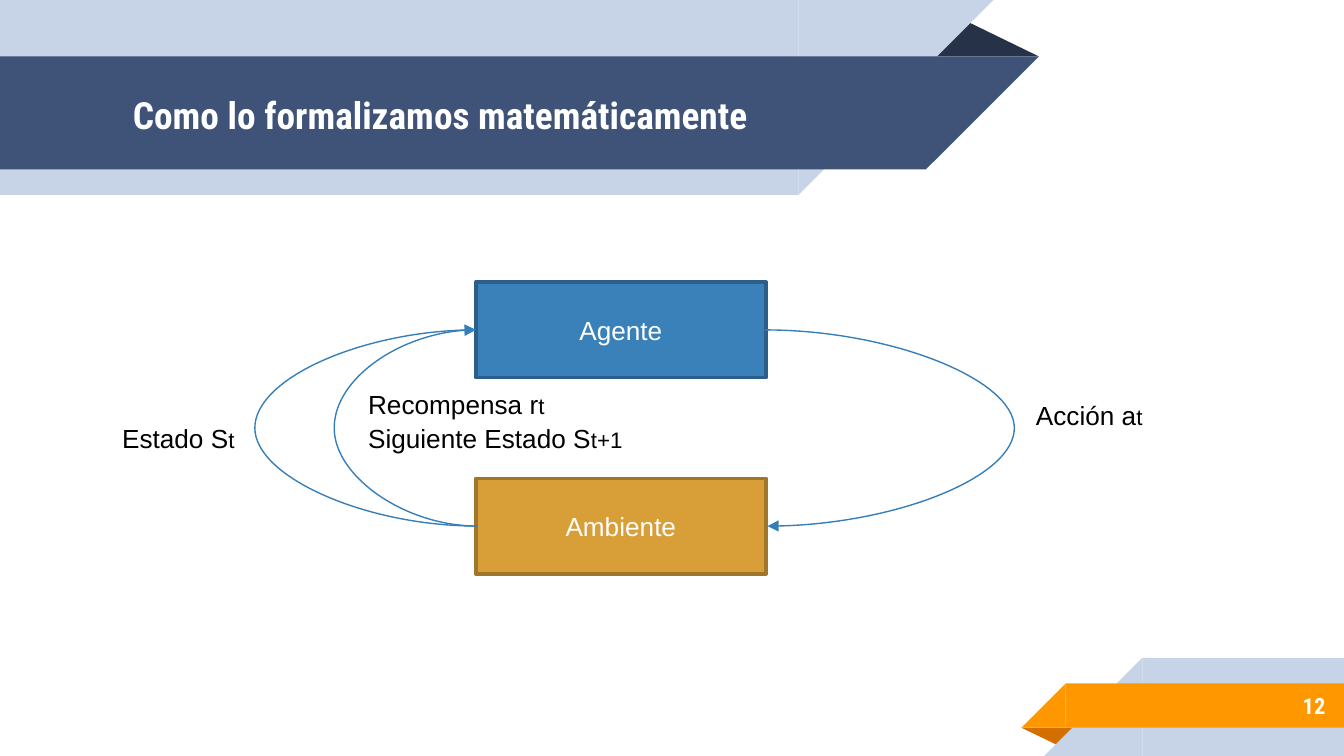
from dataclasses import dataclass

from lxml import etree
from pptx import Presentation
from pptx.dml.color import RGBColor
from pptx.enum.shapes import MSO_CONNECTOR, MSO_SHAPE
from pptx.enum.text import MSO_ANCHOR, MSO_AUTO_SIZE, PP_ALIGN
from pptx.oxml.ns import qn
from pptx.util import Inches, Pt

RECTANGLE = MSO_SHAPE.RECTANGLE
RIGHT_TRIANGLE = MSO_SHAPE.RIGHT_TRIANGLE
TRIANGLE = MSO_SHAPE.ISOSCELES_TRIANGLE
CURVE = MSO_CONNECTOR.CURVE
MIDDLE, TOP = MSO_ANCHOR.MIDDLE, MSO_ANCHOR.TOP
LEFT, CENTER, RIGHT = PP_ALIGN.LEFT, PP_ALIGN.CENTER, PP_ALIGN.RIGHT

SLIDE_WIDTH = 10
SLIDE_HEIGHT = SLIDE_WIDTH * 9 / 16


@dataclass(frozen=True)
class Theme:
    heading_font: str = "Roboto Condensed"
    body_font: str = "Arial"
    title_size: int = 20
    body_size: int = 14
    small_size: int = 12
    white: str = "FFFFFF"
    black: str = "000000"
    pale: str = "C7D3E6"
    navy: str = "3F5378"
    navy_fold: str = "263248"
    orange: str = "FF9800"
    orange_fold: str = "D26F00"
    agent: str = "3A81BA"
    agent_line: str = "2B5F8A"
    environment: str = "D89F39"
    environment_line: str = "A0762A"
    arrow: str = "367EB9"


THEME = Theme()


def add_shape(slide, preset, box, fill, line=None):
    shape = slide.shapes.add_shape(preset, *map(Inches, box))
    shape.shadow.inherit = False
    shape.fill.solid()
    shape.fill.fore_color.rgb = RGBColor.from_string(fill)
    if line:
        shape.line.color.rgb = RGBColor.from_string(line)
        shape.line.width = Pt(2)
    else:
        shape.line.fill.background()
    return shape


def flip_horizontally(shape):
    shape._element.spPr.find(qn("a:xfrm")).set("flipH", "1")


def add_run(paragraph, text, size, color, font, bold=False):
    run = paragraph.add_run()
    run.text = text
    run.font.size = Pt(size)
    run.font.name = font
    run.font.bold = bold
    run.font.color.rgb = RGBColor.from_string(color)


def add_heading(slide, box, text, size, align):
    frame = slide.shapes.add_textbox(*map(Inches, box)).text_frame
    frame.word_wrap = True
    frame.vertical_anchor = MIDDLE
    frame.margin_top = frame.margin_bottom = Inches(0.1)
    paragraph = frame.paragraphs[0]
    paragraph.alignment = align
    add_run(paragraph, text, size, THEME.white, THEME.heading_font, True)


def add_label(slide, box, text, subscript):
    frame = slide.shapes.add_textbox(*map(Inches, box)).text_frame
    frame.word_wrap = False
    frame.auto_size = MSO_AUTO_SIZE.SHAPE_TO_FIT_TEXT
    frame.vertical_anchor = TOP
    paragraph = frame.paragraphs[0]
    paragraph.alignment = LEFT
    add_run(paragraph, text, THEME.body_size, THEME.black, THEME.body_font)
    add_run(paragraph, subscript, THEME.small_size, THEME.black, THEME.body_font)


def add_node(slide, box, text, fill, line):
    frame = add_shape(slide, RECTANGLE, box, fill, line).text_frame
    frame.vertical_anchor = MIDDLE
    paragraph = frame.paragraphs[0]
    paragraph.alignment = CENTER
    add_run(paragraph, text, THEME.body_size, THEME.white, THEME.body_font)


def add_curved_arrow(slide, start, end, bulge_x):
    """Draw a curve from start to end that swings out to bulge_x."""
    connector = slide.shapes.add_connector(CURVE, *map(Inches, start + end))
    connector.line.color.rgb = RGBColor.from_string(THEME.arrow)
    connector.line.width = Pt(0.75)
    properties = connector._element.spPr
    reach = abs(Inches(bulge_x) - connector.begin_x) / connector.width
    guides = properties.find(qn("a:prstGeom")).find(qn("a:avLst"))
    etree.SubElement(guides, qn("a:gd"), name="adj1", fmla=f"val {round(reach * 100000)}")
    etree.SubElement(properties.find(qn("a:ln")), qn("a:tailEnd"), type="triangle")
    etree.SubElement(properties, qn("a:effectLst"))


def add_slanted_band(slide, box, fill, points_left=False):
    """Draw a bar whose slanted end is as wide as the bar is high."""
    left, top, width, height = box
    bar_left = left + height if points_left else left
    tip_left = left if points_left else left + width - height
    bar = add_shape(slide, RECTANGLE, (bar_left, top, width - height, height), fill)
    tip = add_shape(slide, RIGHT_TRIANGLE, (tip_left, top, height, height), fill)
    for shape in (bar, tip):
        flip_horizontally(shape)
        if not points_left:
            shape.rotation = 180


def add_fold(slide, box, fill):
    fold = add_shape(slide, TRIANGLE, box, fill)
    fold.adjustments[0] = 0.324
    return fold


def add_header(slide, box, title):
    left, top, width, height = box
    band_top, band_height = top + 0.42, 0.84
    add_fold(slide, (left + width - 0.85, band_top - 0.28, 0.85, 0.28), THEME.navy_fold)
    add_slanted_band(slide, (left, top, width - 0.34, height), THEME.pale)
    add_slanted_band(slide, (left, band_top, width, band_height), THEME.navy)
    add_heading(slide, (left + 0.89, band_top + 0.01, 6.01, band_height), title,
                THEME.title_size, LEFT)


def add_footer(slide, box, number):
    left, top, width, height = box
    band_top, band_height = top + 0.19, 0.33
    fold = add_fold(slide, (left, band_top + band_height, 0.43, 0.14), THEME.orange_fold)
    fold.rotation = 180
    add_slanted_band(slide, (left + 0.17, top, width - 0.17, height), THEME.pale, True)
    add_slanted_band(slide, (left, band_top, width, band_height), THEME.orange, True)
    add_heading(slide, (left + 0.73, band_top - 0.01, 1.63, 0.35), number,
                THEME.small_size, RIGHT)


def add_cycle(slide, box):
    left, top, width, height = box
    node_left, node_width, node_height = left + 2.73, 2.16, 0.71
    node_right = node_left + node_width
    environment_top = top + height - node_height
    agent_y = top + node_height / 2
    environment_y = environment_top + node_height / 2

    # Agent and environment
    add_node(slide, (node_left, top, node_width, node_height), "Agente",
             THEME.agent, THEME.agent_line)
    add_node(slide, (node_left, environment_top, node_width, node_height), "Ambiente",
             THEME.environment, THEME.environment_line)

    # State and reward return on the left, action leaves on the right
    for bulge_x in (left + 1.06, left + 1.66):
        add_curved_arrow(slide, (node_left + 0.01, environment_y),
                         (node_left, agent_y), bulge_x)
    add_curved_arrow(slide, (node_right - 0.01, agent_y),
                     (node_right + 0.01, environment_y), left + 6.73)

    # Arrow labels
    for x, y, label_width, text, subscript in (
        (0, 0.99, 1.05, "Estado S", "t"),
        (6.8, 0.82, 1, "Acción a", "t"),
        (1.83, 0.74, 1.52, "Recompensa r", "t"),
        (1.83, 0.99, 2.11, "Siguiente Estado S", "t+1"),
    ):
        add_label(slide, (left + x, top + y, label_width, 0.34), text, subscript)


def main():
    presentation = Presentation()
    presentation.slide_width = Inches(SLIDE_WIDTH)
    presentation.slide_height = Inches(SLIDE_HEIGHT)
    slide = presentation.slides.add_slide(presentation.slide_layouts[6])
    add_header(slide, (0, 0, 7.73, 1.45), "Como lo formalizamos matemáticamente")
    add_footer(slide, (7.6, SLIDE_HEIGHT - 0.73, 2.4, 0.73), "12")
    add_cycle(slide, (0.81, 2.1, 7.8, 2.17))
    presentation.save("out.pptx")


if __name__ == "__main__":
    main()
